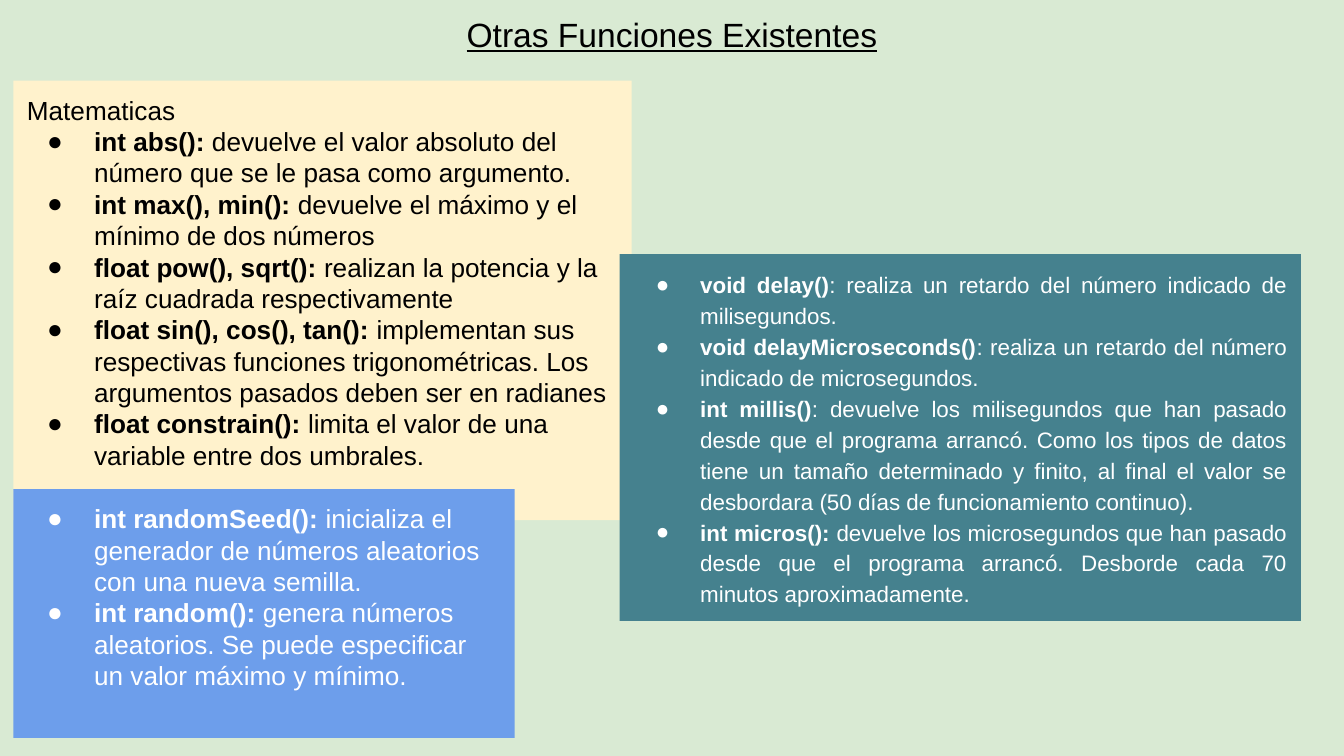
from lxml import etree
from pptx import Presentation, util as u
from pptx.dml.color import RGBColor
from pptx.enum import text
from pptx.oxml import ns

BLACK = RGBColor(0x00, 0x00, 0x00)
WHITE = RGBColor(0xFF, 0xFF, 0xFF)
MINT = RGBColor(0xD9, 0xEA, 0xD3)
CREAM = RGBColor(0xFF, 0xF2, 0xCC)
BLUE = RGBColor(0x6D, 0x9E, 0xEB)
TEAL = RGBColor(0x45, 0x81, 0x8E)

# Content: each list entry is (function, description)
TITLE = "Otras Funciones Existentes"
MATH = [
    ("int abs():", " devuelve el valor absoluto del número que se le pasa como argumento."),
    ("int max(), min():", " devuelve el máximo y el mínimo de dos números"),
    ("float pow(), sqrt():", " realizan la potencia y la raíz cuadrada respectivamente"),
    ("float sin(), cos(), tan(): ",
     "implementan sus respectivas funciones trigonométricas. "
     "Los argumentos pasados deben ser en radianes"),
    ("float constrain():", " limita el valor de una variable entre dos umbrales."),
]
RANDOM = [
    ("int randomSeed():",
     " inicializa el generador de números aleatorios con una nueva semilla."),
    ("int random():",
     " genera números aleatorios. Se puede especificar un valor máximo y mínimo."),
]
TIME = [
    ("void delay()", ": realiza un retardo del número indicado de milisegundos."),
    ("void delayMicroseconds()", ": realiza un retardo del número indicado de microsegundos."),
    ("int millis()",
     ": devuelve los milisegundos que han pasado desde que el programa arrancó. "
     "Como los tipos de datos tiene un tamaño determinado y finito, al final el valor "
     "se desbordara (50 días de funcionamiento continuo)."),
    ("int micros(): ",
     "devuelve los microsegundos que han pasado desde que el programa arrancó. "
     "Desborde cada 70 minutos aproximadamente."),
]

LEFT, JUSTIFY = text.PP_ALIGN.LEFT, text.PP_ALIGN.JUSTIFY
PANELS = [
    dict(at=(0.1, 0.6, 4.6, 3.27), fill=CREAM, color=BLACK, size=14, hang=0.35,
         align=LEFT, spacing=1.0, heading="Matematicas", items=MATH),
    dict(at=(0.1, 3.64, 3.73, 1.85), fill=BLUE, color=WHITE, size=14, hang=0.35,
         align=LEFT, spacing=1.0, heading=None, items=RANDOM),
    dict(at=(4.61, 1.89, 5.07, 2.73), fill=TEAL, color=WHITE, size=12, hang=0.33,
         align=JUSTIFY, spacing=1.15, heading=None, items=TIME),
]


def apply(target, values):
    for name, value in values.items():
        setattr(target, name, value)


def place(box, at):
    apply(box, dict(zip(("left", "top", "width", "height"), map(u.Inches, at))))
    margins = dict.fromkeys(
        ("margin_left", "margin_top", "margin_right", "margin_bottom"), u.Inches(0.1))
    apply(box.text_frame, dict(margins, word_wrap=True, auto_size=text.MSO_AUTO_SIZE.NONE,
                               vertical_anchor=text.MSO_ANCHOR.TOP))


def add_span(para, words, size, color, **extra):
    span = para.add_run()
    span.text = words
    apply(span.font, dict(name="Arial", size=u.Pt(size), **extra))
    span.font.color.rgb = color


def set_bullet(para, color, indent, hang):
    props = para._p.get_or_add_pPr()
    props.set("marL", str(u.Inches(indent)))
    props.set("indent", str(-u.Inches(hang)))
    if not indent:
        etree.SubElement(props, ns.qn("a:buNone"))
        return
    tint = etree.SubElement(props, ns.qn("a:buClr"))
    etree.SubElement(tint, ns.qn("a:srgbClr"), val=str(color))
    etree.SubElement(props, ns.qn("a:buFont"), typeface="Arial")
    etree.SubElement(props, ns.qn("a:buChar"), char="●")


def fill_panel(box, panel):
    place(box, panel["at"])
    box.fill.solid()
    box.fill.fore_color.rgb = panel["fill"]
    size, color = panel["size"], panel["color"]
    rows = [(panel["heading"], None)] if panel["heading"] else []
    for index, (name, description) in enumerate(rows + panel["items"]):
        frame = box.text_frame
        para = frame.add_paragraph() if index else frame.paragraphs[0]
        is_item = description is not None
        set_bullet(para, color, 0.5 if is_item else 0, panel["hang"] if is_item else 0)
        apply(para, dict(alignment=panel["align"], line_spacing=panel["spacing"],
                         space_before=u.Pt(0), space_after=u.Pt(0)))
        add_span(para, name, size, color, bold=is_item)
        if is_item:
            add_span(para, description, size, color, bold=False)


# Page in 16:9
deck = Presentation()
width = u.Inches(10)
apply(deck, dict(slide_width=width, slide_height=width * 9 // 16))
page = deck.slides.add_slide(deck.slide_layouts.get_by_name("Comparison"))
page.background.fill.solid()
page.background.fill.fore_color.rgb = MINT

# Title
title = page.shapes.title
place(title, (2.77, 0, 4.46, 0.5))
heading = title.text_frame.paragraphs[0]
heading.alignment = text.PP_ALIGN.CENTER
add_span(heading, TITLE, 18, BLACK, underline=True, bold=False)

# Function lists, from back to front
bodies = [box for box in page.placeholders if box.placeholder_format.idx != 0]
for box, panel in zip(bodies, PANELS):
    fill_panel(box, panel)
for spare in bodies[len(PANELS):]:
    spare.element.getparent().remove(spare.element)

deck.save("out.pptx")
